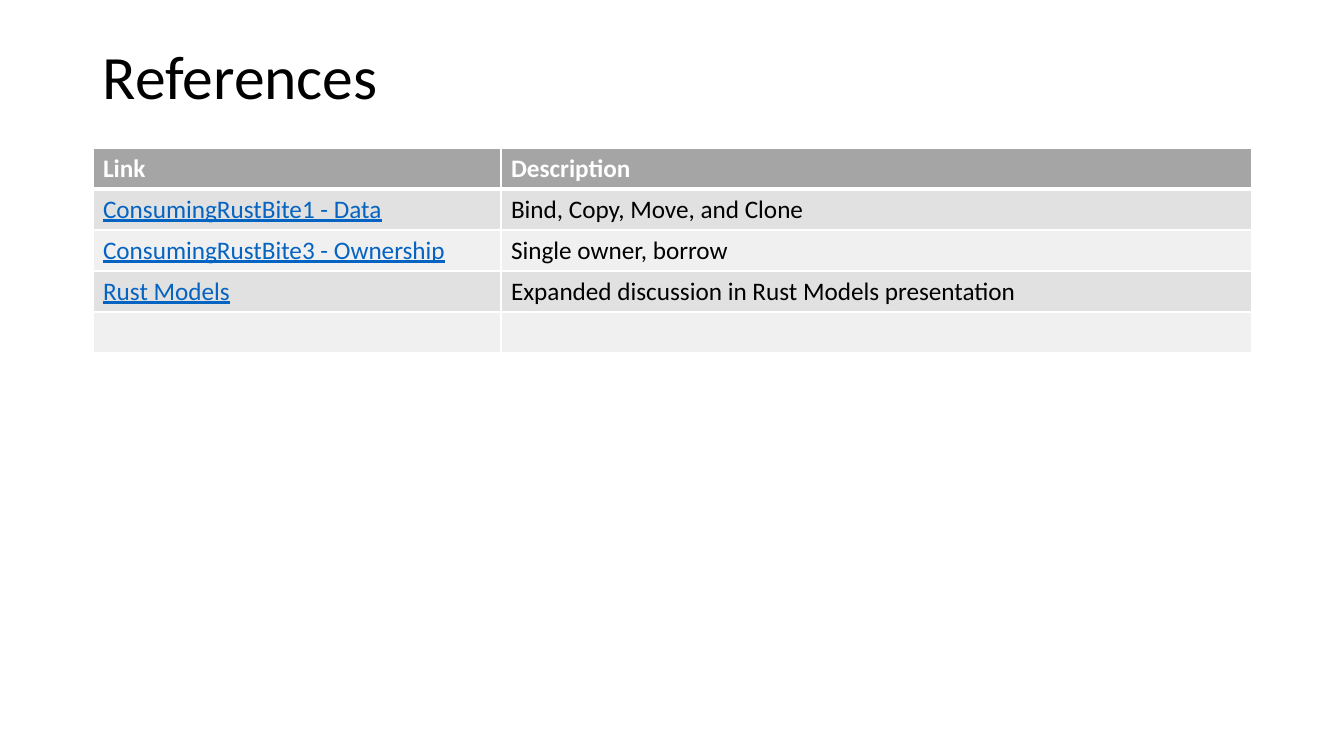
from lxml import etree
from pptx import Presentation
from pptx import util as u
from pptx.dml.color import RGBColor
from pptx.enum import text
from pptx.oxml import ns

SCALE = 914400 / 100.8
COLORS = {
    "title": "000000", "body": "000000", "link": "0563C1",
    "header_text": "FFFFFF", "header": "A5A5A5",
    "odd_row": "E1E1E1", "even_row": "F0F0F0", "border": "FFFFFF",
}
LEFT, WIDTH = 93, 1159
COLUMN_WIDTHS = (408, 751)
ROW_HEIGHT = 41
ROWS = [
    ("Link", "Description"),
    ("ConsumingRustBite1 - Data", "Bind, Copy, Move, and Clone"),
    ("ConsumingRustBite3 - Ownership", "Single owner, borrow"),
    ("Rust Models", "Expanded discussion in Rust Models presentation"),
    ("", ""),
]


def px(*lengths):
    """Turn pixel lengths into a list of EMU lengths."""
    return [u.Emu(round(length * SCALE)) for length in lengths]


def add_span(para, words, size, color):
    """Add a Calibri run to a paragraph and return it."""
    span = para.add_run()
    span.text = words
    span.font.name = "Calibri"
    span.font.size = u.Pt(size)
    span.font.color.rgb = RGBColor.from_string(COLORS[color])
    return span


deck = Presentation()
deck.slide_width, deck.slide_height = px(1344, 756)
page = deck.slides.add_slide(deck.slide_layouts[6])

# Title
title = page.shapes.add_textbox(*px(LEFT, 40, WIDTH, 80)).text_frame
title.word_wrap = True
title.vertical_anchor = text.MSO_ANCHOR.MIDDLE
title.paragraphs[0].line_spacing = 0.9
add_span(title.paragraphs[0], "References", 44, "title")

# Reference table
frame = page.shapes.add_table(len(ROWS), len(COLUMN_WIDTHS),
                              *px(LEFT, 148, WIDTH, ROW_HEIGHT * len(ROWS)))
table = frame.table
for column, width in zip(table.columns, px(*COLUMN_WIDTHS)):
    column.width = width

for row, entries in enumerate(ROWS):
    table.rows[row].height = px(ROW_HEIGHT)[0]
    fill = "header" if row == 0 else "odd_row" if row % 2 else "even_row"
    for col, words in enumerate(entries):
        cell = table.cell(row, col)
        cell.fill.solid()
        cell.fill.fore_color.rgb = RGBColor.from_string(COLORS[fill])

        # A thick rule parts the header from the body
        widths = {"L": 1, "R": 1, "T": 3 if row == 1 else 1, "B": 3 if row == 0 else 1}
        props = cell._tc.get_or_add_tcPr()
        for place, (side, width) in enumerate(widths.items()):
            line = etree.Element(ns.qn(f"a:ln{side}"), w=str(u.Pt(width)))
            solid = etree.SubElement(line, ns.qn("a:solidFill"))
            etree.SubElement(solid, ns.qn("a:srgbClr"), val=COLORS["border"])
            props.insert(place, line)

        para = cell.text_frame.paragraphs[0]
        para.font.size = u.Pt(18)
        if words:
            color = "header_text" if row == 0 else "body" if col else "link"
            span = add_span(para, words, 18, color)
            span.font.bold = row == 0
            span.font.underline = color == "link"

deck.save("out.pptx")
